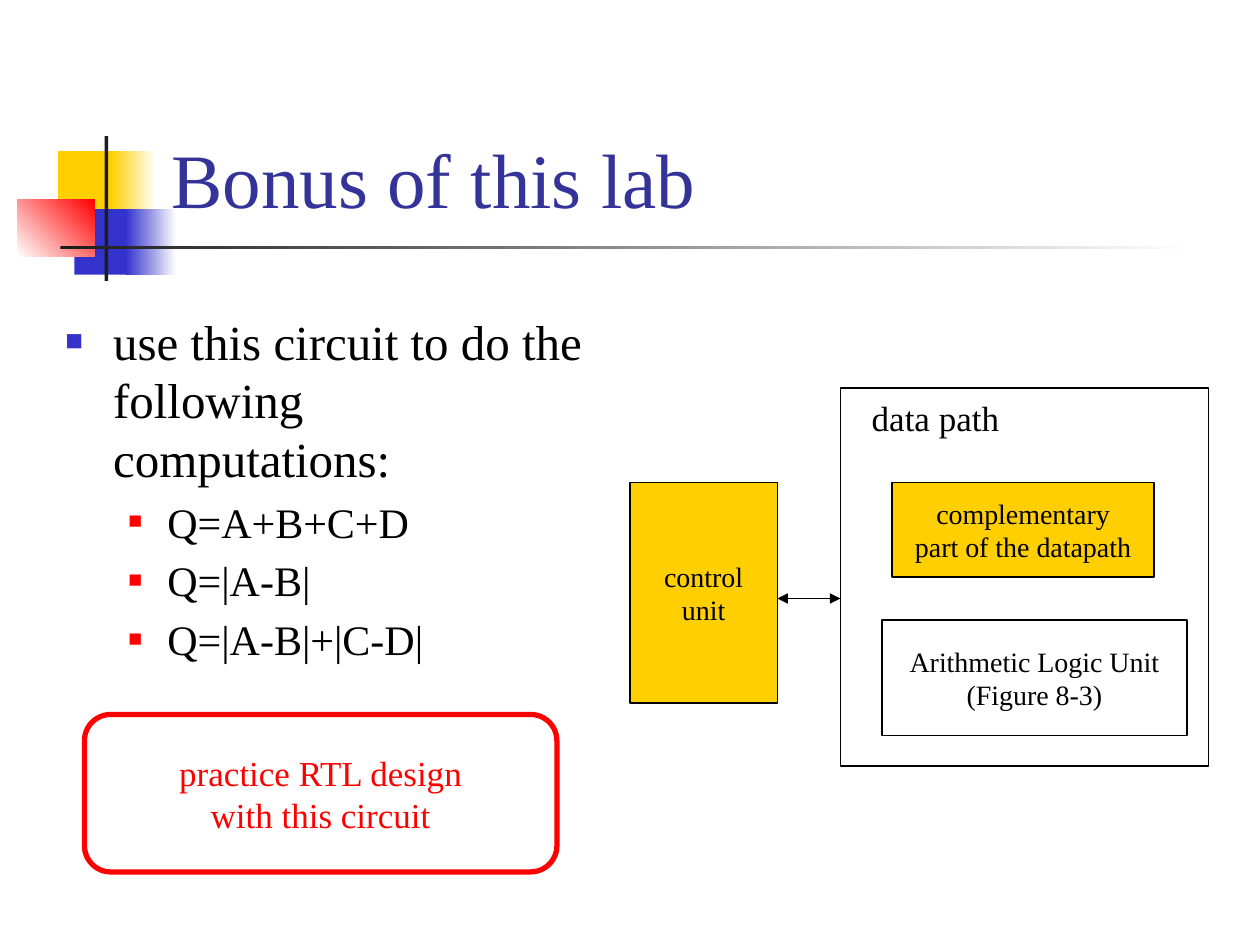
from dataclasses import dataclass

from lxml import etree
from pptx import Presentation
from pptx.dml.color import RGBColor
from pptx.enum import shapes, text
from pptx.oxml import ns
from pptx.util import Inches, Pt


@dataclass(frozen=True)
class Theme:
    font: str = "Times New Roman"
    yellow: str = "FFCF01"
    blue: str = "3333CC"
    red: str = "FF0000"
    dark: str = "1C1C1C"
    white: str = "FFFFFF"
    black: str = "000000"
    title_color: str = "333399"
    title: int = 44
    point: int = 28
    subpoint: int = 24
    callout: int = 20
    block: int = 16


THEME = Theme()


def rgb(color):
    return RGBColor.from_string(color)


def add_xml(parent, tag, **attributes):
    return etree.SubElement(parent, ns.qn(tag), attributes)


def write(frame, lines, size, color=THEME.black, align=None,
          anchor=text.MSO_ANCHOR.TOP, wrap=True):
    frame.word_wrap = wrap
    frame.auto_size = text.MSO_AUTO_SIZE.NONE
    frame.vertical_anchor = anchor
    frame.text = "\n".join(lines)
    for paragraph in frame.paragraphs:
        paragraph.alignment = align
        font = paragraph.runs[0].font
        font.name, font.size = THEME.font, Pt(size)
        font.color.rgb = rgb(color)


def add_block(slide, left, top, width, height, fill=None, line=None, line_width=0.75,
              kind=shapes.MSO_SHAPE.RECTANGLE):
    block = slide.shapes.add_shape(
        kind, Inches(left), Inches(top), Inches(width), Inches(height))
    block.shadow.inherit = False
    if fill is None:
        block.fill.background()
    elif isinstance(fill, tuple):
        start, end, angle = fill
        block.fill.gradient()
        block.fill.gradient_angle = angle
        for stop, color in zip(block.fill.gradient_stops, (start, end)):
            stop.color.rgb = rgb(color)
    else:
        block.fill.solid()
        block.fill.fore_color.rgb = rgb(fill)
    if line:
        block.line.color.rgb = rgb(line)
        block.line.width = Pt(line_width)
    else:
        block.line.fill.background()
    return block


def add_labelled_block(slide, box, lines, size=THEME.block, color=THEME.black, **look):
    block = add_block(slide, *box, line=color, **look)
    write(block.text_frame, lines, size, color, align=text.PP_ALIGN.CENTER,
          anchor=text.MSO_ANCHOR.MIDDLE, wrap=False)
    return block


def add_ornament(slide, left, top):
    yellow_fade = (THEME.yellow, THEME.white, 0)
    blue_fade = (THEME.blue, THEME.white, 0)
    red_fade = (THEME.white, THEME.red, 45)
    rule_fade = (THEME.dark, THEME.white, 0)
    for dx, dy, width, height, fill in (
            (0.32, 0.12, 0.48, 0.52, THEME.yellow),
            (0.74, 0.12, 0.36, 0.52, yellow_fade),
            (0.45, 0.58, 0.46, 0.52, THEME.blue),
            (0.86, 0.58, 0.4, 0.52, blue_fade),
            (0, 0.5, 0.61, 0.46, red_fade),
            (0.69, 0, 0.03, 1.15, THEME.dark),
            (0.34, 0.87, 9, 0.03, rule_fade)):
        add_block(slide, left + dx, top + dy, width, height, fill)


def add_title(slide, left, top, width, height):
    title = slide.shapes.title
    title.left, title.top = Inches(left), Inches(top)
    title.width, title.height = Inches(width), Inches(height)
    write(title.text_frame, ["Bonus of this lab"], THEME.title, THEME.title_color,
          align=text.PP_ALIGN.LEFT, anchor=text.MSO_ANCHOR.BOTTOM)


def format_bullet(paragraph, size, color, margin, hang, scale, level):
    paragraph.level = level
    paragraph.font.size = paragraph.runs[0].font.size = Pt(size)
    paragraph.space_before = Pt(size * 0.2)
    properties = paragraph._p.get_or_add_pPr()
    properties.set("marL", str(Inches(margin)))
    properties.set("indent", str(-Inches(hang)))
    default = properties.find(ns.qn("a:defRPr"))
    if default is not None:
        properties.remove(default)
    add_xml(add_xml(properties, "a:buClr"), "a:srgbClr", val=color)
    add_xml(properties, "a:buSzPct", val=str(scale * 1000))
    add_xml(properties, "a:buFont", typeface=THEME.font)
    add_xml(properties, "a:buChar", char="■")


def add_computations(slide, left, top, width, height):
    computations = slide.shapes.add_textbox(
        Inches(left), Inches(top), Inches(width), Inches(height)).text_frame
    write(computations, ["use this circuit to do the following computations:",
                         "Q=A+B+C+D", "Q=|A-B|", "Q=|A-B|+|C-D|"], THEME.point)
    task, *formulas = computations.paragraphs
    format_bullet(task, THEME.point, THEME.blue, 0.38, 0.38, 60, 0)
    for formula in formulas:
        format_bullet(formula, THEME.subpoint, THEME.red, 0.81, 0.31, 55, 1)


def add_double_arrow(slide, start, end, y):
    arrow = slide.shapes.add_connector(
        shapes.MSO_CONNECTOR.STRAIGHT, Inches(start), Inches(y), Inches(end), Inches(y))
    arrow.line.color.rgb = rgb(THEME.black)
    arrow.line.width = Pt(0.75)
    for tip in ("a:headEnd", "a:tailEnd"):
        add_xml(arrow.line._get_or_add_ln(), tip, type="triangle")
    add_xml(arrow._element.spPr, "a:effectLst")


def add_circuit(slide, left, top):
    control_width, path_left = 1.17, 1.67
    add_block(slide, left + path_left, top, 2.92, 3, line=THEME.black)
    add_labelled_block(slide, (left + 2, top + 1.84, 2.42, 0.92),
                       ["Arithmetic Logic Unit", "(Figure 8-3)"])
    add_labelled_block(slide, (left + 2.08, top + 0.75, 2.08, 0.75),
                       ["complementary", "part of the datapath"], fill=THEME.yellow)
    heading = slide.shapes.add_textbox(
        Inches(left + 1.82), Inches(top + 0.02), Inches(1.21), Inches(0.43))
    write(heading.text_frame, ["data path"], THEME.callout, wrap=False)
    add_labelled_block(slide, (left, top + 0.75, control_width, 1.75),
                       ["control", "unit"], fill=THEME.yellow)
    add_double_arrow(slide, left + control_width, left + path_left, top + 1.67)


def add_callout(slide, left, top, width, height):
    add_labelled_block(slide, (left, top, width, height),
                       ["practice RTL design", "with this circuit"],
                       THEME.callout, THEME.red, line_width=3,
                       kind=shapes.MSO_SHAPE.ROUNDED_RECTANGLE)


def build():
    deck = Presentation()
    deck.slide_width, deck.slide_height = Inches(10), Inches(7.5)
    slide = deck.slides.add_slide(deck.slide_layouts.get_by_name("Title Only"))
    add_ornament(slide, 0.14, 1.08)
    add_title(slide, 1.26, 0.23, 8.52, 1.6)
    add_computations(slide, 0.42, 2.42, 4.33, 2.58)
    add_circuit(slide, 5, 3.08)
    add_callout(slide, 0.67, 5.67, 3.75, 1.25)
    deck.save("out.pptx")


build()
